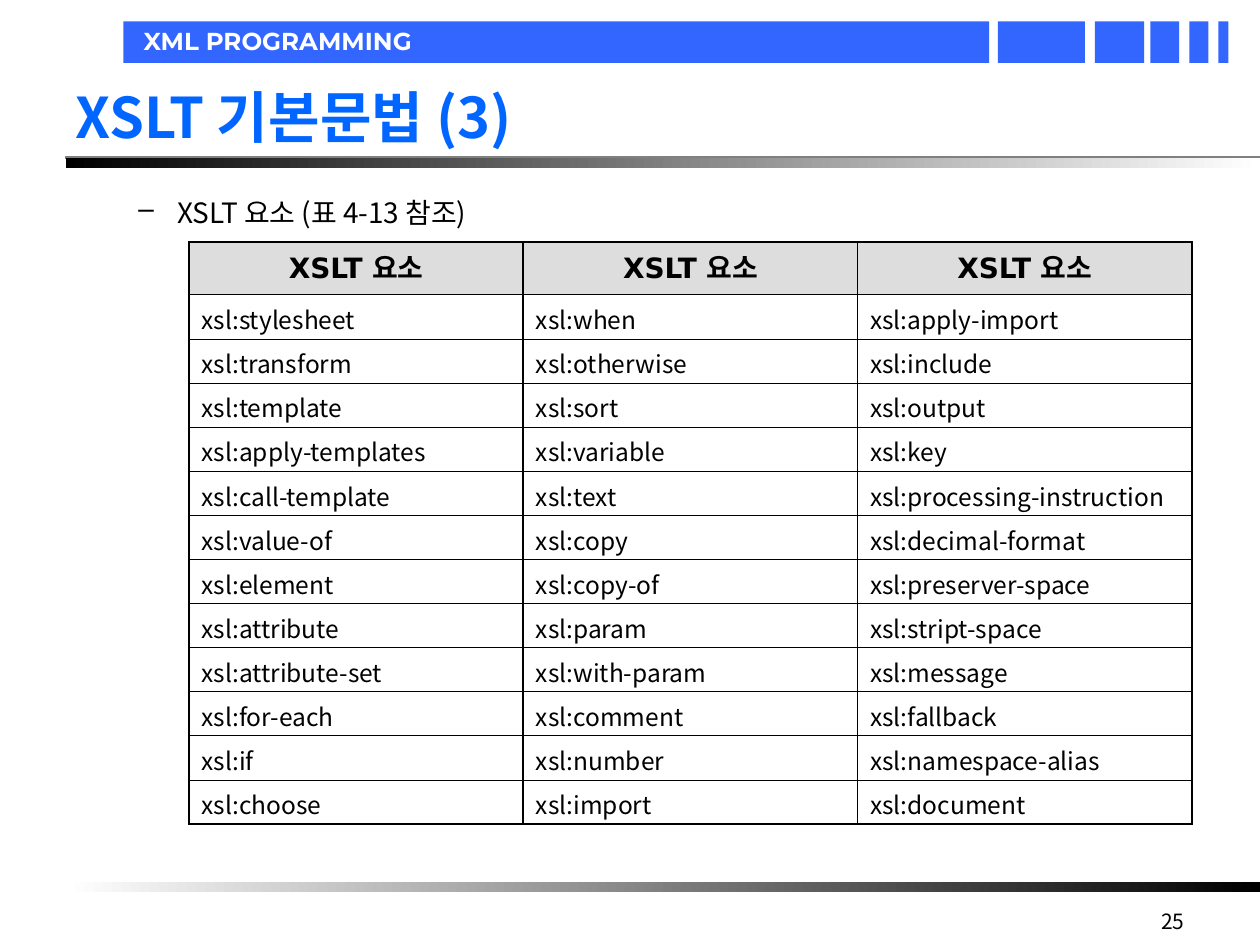
"""Build the XSLT element table slide on a grid of 100 columns by 75 rows."""
from lxml import etree
from pptx import Presentation
from pptx.dml.color import RGBColor
from pptx.enum.shapes import MSO_CONNECTOR, MSO_SHAPE
from pptx.enum.text import MSO_ANCHOR, PP_ALIGN
from pptx.oxml.ns import qn
from pptx.util import Inches, Pt

COLS, ROWS = 100, 75
UNIT = Inches(0.1)
RECT, STRAIGHT = MSO_SHAPE.RECTANGLE, MSO_CONNECTOR.STRAIGHT
TOP, MIDDLE = MSO_ANCHOR.TOP, MSO_ANCHOR.MIDDLE
LEFT, CENTER, RIGHT = PP_ALIGN.LEFT, PP_ALIGN.CENTER, PP_ALIGN.RIGHT
BLACK = RGBColor(0x00, 0x00, 0x00)
WHITE = RGBColor(0xFF, 0xFF, 0xFF)
GRAY = RGBColor(0x80, 0x80, 0x80)
HEADER_GRAY = RGBColor(0xDD, 0xDD, 0xDD)
BAR_BLUE = RGBColor(0x33, 0x66, 0xFF)
TITLE_BLUE = RGBColor(0x00, 0x66, 0xFF)
BODY_FONT = "Noto Sans CJK KR"
HEADER_FONT = "DejaVu Sans"
BAR_FONT = "Montserrat"
THICK, THIN = 1.08, 0.45

BAR_SPANS = [(79.2, 6.9), (86.9, 3.9), (91.3, 2.3), (94.4, 1.5), (96.7, 0.8), (9.8, 68.7)]
BAND_LEFT, BAND_HEIGHT = 5.2, 0.8
TABLE_HEADER = ["XSLT 요소"] * 3
ELEMENTS = [
    ["stylesheet", "when", "apply-import"],
    ["transform", "otherwise", "include"],
    ["template", "sort", "output"],
    ["apply-templates", "variable", "key"],
    ["call-template", "text", "processing-instruction"],
    ["value-of", "copy", "decimal-format"],
    ["element", "copy-of", "preserver-space"],
    ["attribute", "param", "stript-space"],
    ["attribute-set", "with-param", "message"],
    ["for-each", "comment", "fallback"],
    ["if", "number", "namespace-alias"],
    ["choose", "import", "document"],
]


def grid(*units):
    """Convert grid units to lengths."""
    return [round(u * UNIT) for u in units]


def style_paragraph(p, size, font=BODY_FONT, color=BLACK, bold=False, align=LEFT):
    """Format a paragraph and its runs for Latin and Korean text."""
    p.alignment = align
    for r in p.runs:
        r.font.size, r.font.bold, r.font.name = Pt(size), bold, font
        r.font.color.rgb = color
        etree.SubElement(r.font._element, qn("a:ea"), typeface=font)


def add_text(s, box, text, size, anchor=TOP, inset=(1, 0.5), **style):
    """Add a wrapped text box and return its paragraph."""
    tf = s.shapes.add_textbox(*grid(*box)).text_frame
    tf.word_wrap = True
    tf.vertical_anchor = anchor
    tf.margin_left, tf.margin_top = grid(*inset)
    tf.margin_right, tf.margin_bottom = grid(*inset)
    tf.text = text
    p = tf.paragraphs[0]
    style_paragraph(p, size, **style)
    return p


def add_dash(p, left, hang):
    """Give a paragraph a hanging dash bullet."""
    pPr = p._p.get_or_add_pPr()
    margin, indent = grid(left, hang)
    pPr.set("marL", str(margin))
    pPr.set("indent", str(indent))
    clr = etree.SubElement(pPr, qn("a:buClr"))
    etree.SubElement(clr, qn("a:srgbClr"), val=str(BLACK))
    etree.SubElement(pPr, qn("a:buChar"), char="–")


def add_rect(s, *box):
    """Add a rectangle without line or shadow."""
    sp = s.shapes.add_shape(RECT, *grid(*box))
    sp.shadow.inherit = False
    sp.line.fill.background()
    return sp


def add_bar(s, left, width):
    """Add one blue piece of the top bar."""
    sp = add_rect(s, left, 1.7, width, 3.3)
    sp.fill.solid()
    sp.fill.fore_color.rgb = BAR_BLUE


def add_band(s, top, colors):
    """Add a horizontal gradient band reaching the right edge."""
    sp = add_rect(s, BAND_LEFT, top, COLS - BAND_LEFT, BAND_HEIGHT)
    sp.fill.gradient()
    sp.fill.gradient_angle = 0
    for i, (stop, color) in enumerate(zip(sp.fill.gradient_stops, colors)):
        stop.position, stop.color.rgb = i, color


def add_rule(s, top):
    """Add the thin line above the title band."""
    line = s.shapes.add_connector(STRAIGHT, *grid(BAND_LEFT, top, COLS, top))
    line.line.color.rgb, line.line.width = GRAY, Pt(1.5)
    etree.SubElement(line._element.spPr, qn("a:effectLst"))


def set_borders(cell, top, bottom):
    """Draw black borders around a table cell."""
    tcPr = cell._tc.get_or_add_tcPr()
    for side, width in zip("LRTB", (THICK, THICK, top, bottom)):
        ln = etree.SubElement(tcPr, qn(f"a:ln{side}"), w=str(Pt(width)))
        fill = etree.SubElement(ln, qn("a:solidFill"))
        etree.SubElement(fill, qn("a:srgbClr"), val=str(BLACK))


def fill_cell(cell, text, is_header, is_last):
    """Write and format one table cell."""
    cell.text = text
    cell.vertical_anchor = MIDDLE
    set_borders(cell, THICK if is_header else THIN, THICK if is_last else THIN)
    p = cell.text_frame.paragraphs[0]
    if is_header:
        cell.fill.solid()
        cell.fill.fore_color.rgb = HEADER_GRAY
        style_paragraph(p, 16, HEADER_FONT, bold=True, align=CENTER)
    else:
        cell.fill.background()
        style_paragraph(p, 14)


def add_element_table(s):
    """Add the table of XSLT elements."""
    rows = [TABLE_HEADER] + [[f"xsl:{name}" for name in row] for row in ELEMENTS]
    last = len(rows) - 1
    box = grid(15, 19.2, 79.6, 4.2 + 3.5 * last)
    table = s.shapes.add_table(len(rows), len(TABLE_HEADER), *box).table
    table.first_row = table.horz_banding = False
    for i, row in enumerate(rows):
        table.rows[i].height = grid(3.5 if i else 4.2)[0]
        for j, text in enumerate(row):
            fill_cell(table.cell(i, j), text, i == 0, i == last)


def main():
    """Build and save the slide."""
    prs = Presentation()
    prs.slide_width, prs.slide_height = grid(COLS, ROWS)
    s = prs.slides.add_slide(prs.slide_layouts[6])
    for left, width in BAR_SPANS:
        add_bar(s, left, width)
    add_text(s, (11.4, 2.1, 50.4, 2.3), "XML PROGRAMMING", 14, MIDDLE, (0, 0),
             font=BAR_FONT, color=WHITE, bold=True)
    add_rule(s, 12.5)
    add_band(s, 12.5, (BLACK, WHITE))
    add_band(s, 70, (WHITE, BLACK))
    add_text(s, (71.7, 71.6, 23.3, 2.9), "25", 12, align=RIGHT)
    add_text(s, (5, 3, 90, 12.5), "XSLT 기본문법 (3)", 32, MIDDLE,
             color=TITLE_BLUE, bold=True)
    p = add_text(s, (5, 15, 71.8, 49.5), "XSLT 요소 (표 4-13 참조)", 16)
    p.level = 1
    add_dash(p, 8.1, -3.1)
    add_element_table(s)
    prs.save("out.pptx")


if __name__ == "__main__":
    main()
